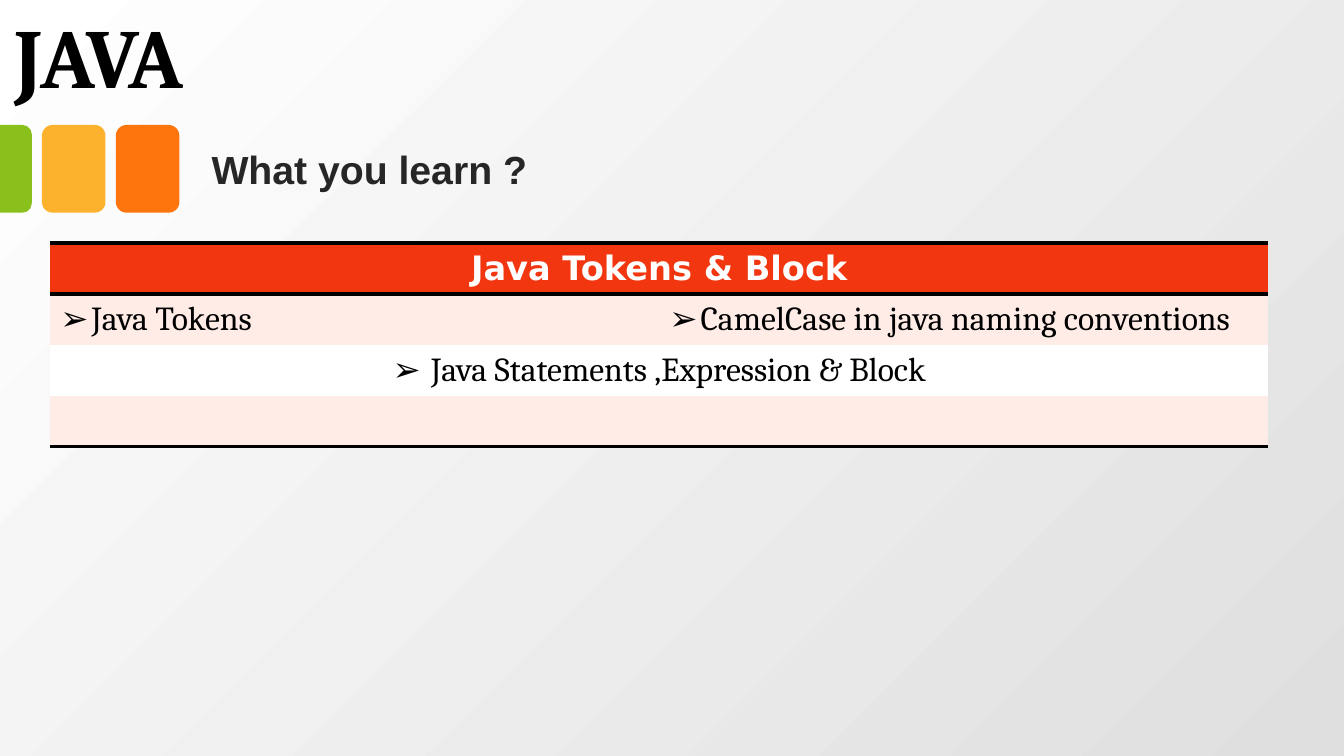
import dataclasses

import lxml.etree
import pptx
import pptx.dml.color
import pptx.enum.shapes
import pptx.enum.text
import pptx.oxml.ns
import pptx.util

ALIGN = pptx.enum.text.PP_ALIGN
ANCHOR = pptx.enum.text.MSO_ANCHOR
SHAPE = pptx.enum.shapes.MSO_SHAPE


def rgb(value):
    return pptx.dml.color.RGBColor.from_string(value)


def apply(target, values):
    for name, value in values.items():
        setattr(target, name, value)


def add_xml(parent, tag, **attributes):
    return lxml.etree.SubElement(parent, pptx.oxml.ns.qn(tag), attributes)


@dataclasses.dataclass(frozen=True)
class Theme:
    background: tuple = ("FFFFFF", "DFDFDF")
    green: str = "89C01C"
    amber: str = "FCB22C"
    orange: str = "FE750E"
    header: str = "F23610"
    band: str = "FFECE7"
    plain: str = "FFFFFF"
    rule: str = "000000"
    rule_width: int = 3
    title: tuple = ("Cambria", 60, True, "000000")
    heading: tuple = ("Arial", 28, True, "262626")
    table_header: tuple = ("DejaVu Sans", 24, True, "FFFFFF")
    table_body: tuple = ("Cambria", 24, False, "000000")


class SlideBuilder:
    columns = 40
    rows = 30

    def __init__(self, presentation, theme):
        self.theme = theme
        self.column = presentation.slide_width / self.columns
        self.row = presentation.slide_height / self.rows
        self.slide = presentation.slides.add_slide(presentation.slide_layouts[6])

    def box(self, left, top, width, height):
        return (round(left * self.column), round(top * self.row),
                round(width * self.column), round(height * self.row))

    def background(self):
        fill = self.slide.background.fill
        fill.gradient()
        fill.gradient_angle = 315
        for stop, color in zip(fill.gradient_stops, self.theme.background):
            stop.color.rgb = rgb(color)

    def styled_run(self, paragraph, text, style):
        name, size, bold, color = style
        run = paragraph.add_run()
        run.text = text
        apply(run.font, {"name": name, "size": pptx.util.Pt(size), "bold": bold})
        run.font.color.rgb = rgb(color)

    def tile(self, kind, area, color, adjustments, rotation=0):
        left, top, width, height = self.box(*area)
        if rotation:
            left += (width - height) // 2
            top += (height - width) // 2
            width, height = height, width
        shape = self.slide.shapes.add_shape(kind, left, top, width, height)
        shape.shadow.inherit = False
        shape.rotation = rotation
        for index, value in enumerate(adjustments):
            shape.adjustments[index] = value
        shape.fill.solid()
        shape.fill.fore_color.rgb = rgb(color)
        shape.line.fill.background()

    def text(self, area, text, style, frame_format, paragraph_format):
        frame = self.slide.shapes.add_textbox(*self.box(*area)).text_frame
        apply(frame, frame_format)
        apply(frame.paragraphs[0], paragraph_format)
        self.styled_run(frame.paragraphs[0], text, style)

    def bullet(self, paragraph, indent):
        properties = paragraph._p.get_or_add_pPr()
        length = pptx.util.Inches(indent)
        properties.set("marL", str(length))
        properties.set("indent", str(-length))
        add_xml(properties, "a:buFont", typeface="Arial")
        add_xml(properties, "a:buChar", char="➢")

    def borders(self, cell, ruled):
        properties = cell._tc.get_or_add_tcPr()
        for side in ("L", "R", "T", "B"):
            width = pptx.util.Pt(self.theme.rule_width if side in ruled else 0)
            line = add_xml(properties, f"a:ln{side}", w=str(width))
            if side in ruled:
                fill = add_xml(line, "a:solidFill")
                add_xml(fill, "a:srgbClr", val=self.theme.rule)
            else:
                add_xml(line, "a:noFill")

    def table(self, area, records):
        shape = self.slide.shapes.add_table(len(records), 2, *self.box(*area))
        table = shape.table
        apply(table, {"first_row": False, "horz_banding": False})
        for index, (texts, color, style, alignment, indent, ruled) in enumerate(records):
            cells = [table.cell(index, column) for column in range(2)]
            for cell in cells:
                self.borders(cell, ruled)
                cell.fill.solid()
                cell.fill.fore_color.rgb = rgb(color)
                cell.vertical_anchor = ANCHOR.MIDDLE
            if len(texts) == 1:
                cells[0].merge(cells[1])
            for cell, text in zip(cells, texts):
                if not text:
                    continue
                paragraph = cell.text_frame.paragraphs[0]
                paragraph.alignment = alignment
                if indent:
                    self.bullet(paragraph, indent)
                self.styled_run(paragraph, text, style)


def main():
    presentation = pptx.Presentation()
    apply(presentation, {"slide_width": pptx.util.Inches(13.33),
                         "slide_height": pptx.util.Inches(7.5)})
    theme = Theme()
    builder = SlideBuilder(presentation, theme)
    builder.background()

    tile_top, tile_height, tile_width, tile_step = 4.96, 3.48, 1.89, 2.2
    for index, color in enumerate((theme.amber, theme.orange)):
        builder.tile(SHAPE.ROUNDED_RECTANGLE,
                     (1.25 + index * tile_step, tile_top, tile_width, tile_height),
                     color, [0.167])
    builder.tile(SHAPE.ROUND_2_SAME_RECTANGLE, (0, tile_top, tile_width / 2, tile_height),
                 theme.green, [0.292, 0], rotation=90)

    side, edge = pptx.util.Inches(0.13), pptx.util.Inches(0.07)
    builder.text((0.03, 0.68, 18.24, 3.76), "JAVA", theme.title,
                 {"word_wrap": True, "vertical_anchor": ANCHOR.BOTTOM,
                  "margin_left": side, "margin_right": side,
                  "margin_top": edge, "margin_bottom": edge},
                 {"line_spacing": 0.8})
    builder.table((1.5, 9.64, 36.24, 8.08), [
        (["Java Tokens & Block"], theme.header, theme.table_header, ALIGN.CENTER, 0, "TB"),
        (["Java Tokens", "CamelCase in java naming conventions"],
         theme.band, theme.table_body, ALIGN.LEFT, 0.31, "T"),
        (["Java Statements ,Expression & Block"],
         theme.plain, theme.table_body, ALIGN.CENTER, 0.38, ""),
        ([""], theme.band, theme.table_body, ALIGN.LEFT, 0, "B"),
    ])
    builder.text((6, 5.56, 10.44, 2.28), "What you learn ?", theme.heading,
                 {"word_wrap": False,
                  "auto_size": pptx.enum.text.MSO_AUTO_SIZE.SHAPE_TO_FIT_TEXT}, {})
    presentation.save("out.pptx")


if __name__ == "__main__":
    main()
